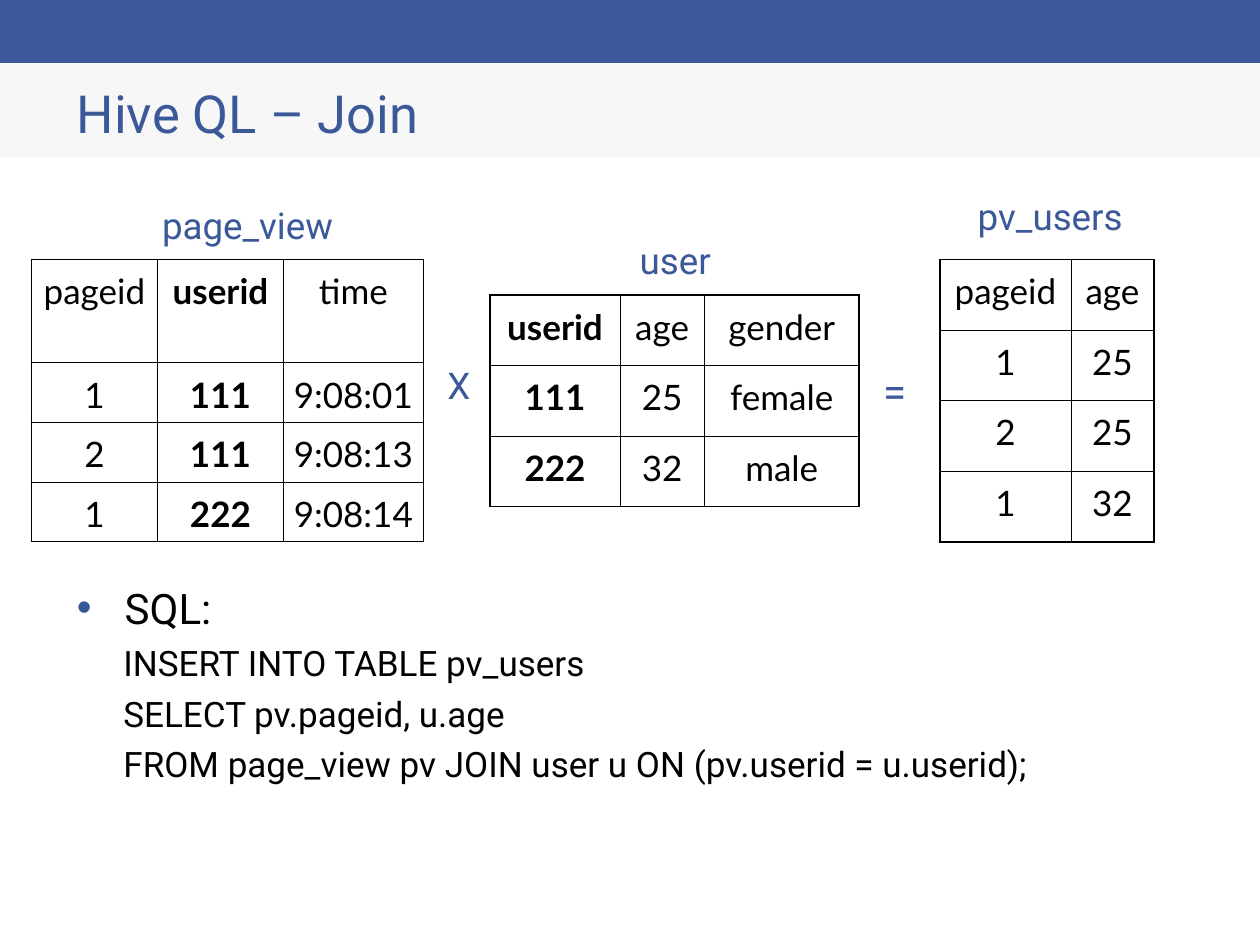
"""Build the Hive QL join slide with python-pptx."""
from dataclasses import dataclass

from lxml.etree import SubElement
from pptx import Presentation
from pptx.dml.color import RGBColor
from pptx.enum.shapes import MSO_SHAPE as Shape
from pptx.enum.text import MSO_ANCHOR as Anchor, MSO_AUTO_SIZE as AutoSize, PP_ALIGN as Align
from pptx.oxml import parse_xml
from pptx.oxml.ns import nsdecls, qn
from pptx.util import Inches, Pt

BLUE, BULLET_BLUE, PALE, BLACK, WHITE = "3B5998", "335896", "F7F7F7", "000000", "FFFFFF"
HEADING_FONT, TABLE_FONT = "Roboto", "Lato"
THIN, THICK = 0.45, 1.08
KEY_COLUMN = "userid"


@dataclass(frozen=True)
class Band:
    top: float
    height: float
    color: str


@dataclass(frozen=True)
class Label:
    text: str
    left: float
    top: float
    width: float
    height: float = 0.43
    size: int = 21


@dataclass(frozen=True)
class Relation:
    left: float
    top: float
    widths: tuple[float, ...]
    heights: tuple[float, ...]
    rows: tuple[tuple[str, ...], ...]


BANDS = (Band(0.5, 0.75, PALE), Band(0, 0.5, BLUE))
RELATIONS = (
    Relation(0.25, 2.06, (1, 1, 1.11), (0.82, 0.47, 0.48, 0.47), (
        ("pageid", "userid", "time"),
        ("1", "111", "9:08:01"),
        ("2", "111", "9:08:13"),
        ("1", "222", "9:08:14"),
    )),
    Relation(3.89, 2.34, (1.03, 0.67, 1.23), (0.56,) * 3, (
        ("userid", "age", "gender"),
        ("111", "25", "female"),
        ("222", "32", "male"),
    )),
    Relation(7.46, 2.06, (1.04, 0.66), (0.56,) * 4, (
        ("pageid", "age"),
        ("1", "25"),
        ("2", "25"),
        ("1", "32"),
    )),
)
LABELS = (
    Label("X", 3.47, 2.84, 0.32),
    Label("=", 6.93, 2.86, 0.34, height=0.48, size=24),
    Label("page_view", 1.17, 1.57, 1.59),
    Label("user", 4.98, 1.85, 0.76),
    Label("pv_users", 7.66, 1.5, 1.35),
)
QUERY = (
    "INSERT INTO TABLE pv_users",
    "SELECT pv.pageid, u.age",
    "FROM page_view pv JOIN user u ON (pv.userid = u.userid);",
)


def rgb(color: str) -> RGBColor:
    """Turn a hex string into a colour."""
    return RGBColor.from_string(color)


def write(paragraph, text: str, *, size: float, font: str = HEADING_FONT, color: str = BLACK,
          bold: bool = False, align=Align.LEFT) -> None:
    """Add one formatted run to a paragraph."""
    paragraph.alignment = align
    span = paragraph.add_run()
    span.text = text
    span.font.size = Pt(size)
    span.font.name = font
    span.font.bold = bold
    span.font.color.rgb = rgb(color)


def place(shape, left: float, top: float, width: float, height: float) -> None:
    """Move and size a shape in inches."""
    shape.left, shape.top = Inches(left), Inches(top)
    shape.width, shape.height = Inches(width), Inches(height)


def set_margins(target, left: float, top: float, right: float, bottom: float) -> None:
    """Set the inner margins of a text frame or cell."""
    target.margin_left, target.margin_top = Inches(left), Inches(top)
    target.margin_right, target.margin_bottom = Inches(right), Inches(bottom)


def set_indent(paragraph, margin: float, indent: float, bullet: str = "") -> None:
    """Set a hanging indent and an optional bullet."""
    properties = paragraph._p.get_or_add_pPr()
    properties.set("marL", str(Inches(margin)))
    properties.set("indent", str(Inches(indent)))
    if bullet:
        SubElement(SubElement(properties, qn("a:buClr")), qn("a:srgbClr"), val=BULLET_BLUE)
        SubElement(properties, qn("a:buFont"), typeface="Arial")
        SubElement(properties, qn("a:buChar"), char=bullet)
    else:
        SubElement(properties, qn("a:buNone"))


def style_cell(cell, widths: dict[str, float]) -> None:
    """Give a cell a half-transparent white fill and its borders."""
    cell.fill.solid()
    cell.fill.fore_color.rgb = rgb(WHITE)
    properties = cell._tc.get_or_add_tcPr()
    SubElement(properties.find(f".//{qn('a:srgbClr')}"), qn("a:alpha"), val="50000")
    for position, (side, width) in enumerate(widths.items()):
        properties.insert(position, parse_xml(
            f'<a:ln{side} {nsdecls("a")} w="{Pt(width)}"><a:solidFill>'
            f'<a:srgbClr val="{BLACK}"/></a:solidFill></a:ln{side}>'))


def add_band(page, band: Band) -> None:
    """Draw a full-width band behind the title."""
    shape = page.shapes.add_shape(
        Shape.RECTANGLE, 0, Inches(band.top), Inches(10), Inches(band.height))
    shape.shadow.inherit = False
    shape.fill.solid()
    shape.fill.fore_color.rgb = rgb(band.color)
    shape.line.fill.background()
    page.shapes.title.element.addprevious(shape.element)


def add_relation(page, relation: Relation) -> None:
    """Draw a table with a thick frame and thin inner lines."""
    last_row, last_column = len(relation.rows) - 1, len(relation.widths) - 1
    table = page.shapes.add_table(
        last_row + 1, last_column + 1, Inches(relation.left), Inches(relation.top),
        Inches(sum(relation.widths)), Inches(sum(relation.heights))).table
    table.first_row = table.horz_banding = False
    for column, width in zip(table.columns, relation.widths):
        column.width = Inches(width)
    for i, (row, height) in enumerate(zip(table.rows, relation.heights)):
        row.height = Inches(height)
        for j, cell in enumerate(row.cells):
            set_margins(cell, 0.07, 0.05, 0.07, 0.05)
            outer = {"L": j == 0, "R": j == last_column, "T": i == 0, "B": i == last_row}
            style_cell(cell, {side: THICK if edge else THIN for side, edge in outer.items()})
            para = cell.text_frame.paragraphs[0]
            para.line_spacing = 1.1
            write(para, relation.rows[i][j], size=20, font=TABLE_FONT,
                  bold=relation.rows[0][j] == KEY_COLUMN, align=Align.CENTER)


def add_label(page, label: Label) -> None:
    """Draw a centred blue label."""
    box = page.shapes.add_textbox(
        Inches(label.left), Inches(label.top), Inches(label.width), Inches(label.height))
    frame = box.text_frame
    frame.word_wrap = False
    frame.auto_size = AutoSize.SHAPE_TO_FIT_TEXT
    set_margins(frame, 0.08, 0.04, 0.08, 0.04)
    write(frame.paragraphs[0], label.text, size=label.size, color=BLUE, align=Align.CENTER)


def fill_title(title) -> None:
    """Place and write the slide title."""
    place(title, 0.61, 0.59, 8.78, 0.61)
    frame = title.text_frame
    frame.auto_size = AutoSize.NONE
    frame.vertical_anchor = Anchor.MIDDLE
    set_margins(frame, 0, 0, 0, 0)
    write(frame.paragraphs[0], "Hive QL – Join", size=30, color=BLUE)


def fill_query(body) -> None:
    """Place and write the SQL statement."""
    place(body, 0.61, 4.52, 8.78, 2.47)
    frame = body.text_frame
    frame.auto_size = AutoSize.NONE
    set_margins(frame, 0, 0.1, 0, 0)
    heading = frame.paragraphs[0]
    heading.space_before = Pt(0)
    set_indent(heading, 0.38, -0.38, bullet="•")
    write(heading, "SQL:", size=24)
    for line in QUERY:
        para = frame.add_paragraph()
        para.level = 1
        para.space_before = Pt(5)
        set_indent(para, 0.61, -0.24)
        write(para, line, size=20)


def main() -> None:
    """Build and save the deck."""
    deck = Presentation()
    deck.slide_width, deck.slide_height = Inches(10), Inches(7.5)
    page = deck.slides.add_slide(deck.slide_layouts[1])
    for band in BANDS:
        add_band(page, band)
    fill_title(page.shapes.title)
    fill_query(page.placeholders[1])
    for relation in RELATIONS:
        add_relation(page, relation)
    for label in LABELS:
        add_label(page, label)
    deck.save("out.pptx")


if __name__ == "__main__":
    main()
